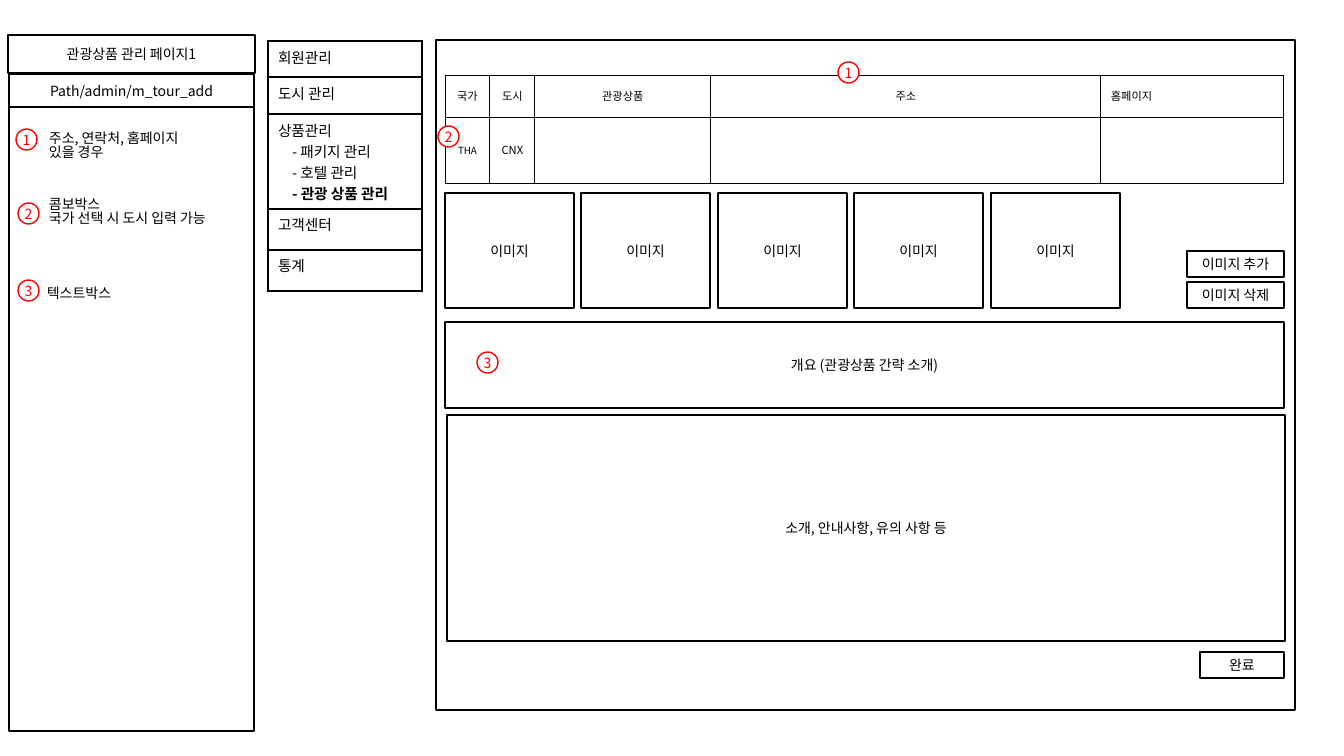
from lxml import etree
from pptx import Presentation
from pptx import util as u
from pptx.dml.color import RGBColor
from pptx.enum import shapes, text
from pptx.oxml import ns

PX = 914400 / 100.8  # EMU in one px
FONT = "Noto Sans CJK KR"
COLORS = {"ink": "000000", "paper": "FFFFFF", "mark": "FF0000"}
CENTER, LEFT, JUSTIFY = text.PP_ALIGN.CENTER, text.PP_ALIGN.LEFT, text.PP_ALIGN.JUSTIFY


def emu(*lengths):
    return [u.Emu(round(length * PX)) for length in lengths]


def color(name):
    return RGBColor.from_string(COLORS[name])


def write(frame, lines, size=10, align=CENTER, ink="ink", spacing=None):
    """Fill a text frame, one paragraph a line."""
    for number, line in enumerate(lines):
        para = frame.add_paragraph() if number else frame.paragraphs[0]
        para.text = line
        para.alignment = align
        if spacing:
            para.line_spacing = spacing
        para.font.size = u.Pt(size)
        para.font.color.rgb = color(ink)
        para.font.name = FONT
        defaults = para._p.pPr.find(ns.qn("a:defRPr"))
        etree.SubElement(defaults, ns.qn("a:ea"), typeface=FONT)


def add_box(page, place, lines=(), line="ink", kind=shapes.MSO_SHAPE.RECTANGLE, **style):
    box = page.shapes.add_shape(kind, *emu(*place))
    box.shadow.inherit = False
    box.fill.solid()
    box.fill.fore_color.rgb = color("paper")
    if line:
        box.line.color.rgb = color(line)
        box.line.width = u.Pt(1)
    else:
        box.line.fill.background()
    box.text_frame.word_wrap = True
    box.text_frame.vertical_anchor = text.MSO_ANCHOR.MIDDLE
    write(box.text_frame, lines, **style)
    return box


def add_marker(page, left, top, number):
    """Red numbered circle."""
    marker = add_box(page, (left, top, 21, 21), [str(number)], line="mark",
                     kind=shapes.MSO_SHAPE.OVAL, ink="mark")
    frame = marker.text_frame
    frame.word_wrap = False
    frame.margin_left = frame.margin_right = frame.margin_top = frame.margin_bottom = 0


def add_grid(page, left, top, columns, rows, border):
    """Unfilled table with the same border on every side of each cell."""
    place = emu(left, top, sum(columns), sum(rows))
    table = page.shapes.add_table(len(rows), len(columns), *place).table
    table.first_row = table.horz_banding = False
    for column, width in zip(table.columns, emu(*columns)):
        column.width = width
    for row, height in zip(table.rows, emu(*rows)):
        row.height = height
    for cell in table.iter_cells():
        props = cell._tc.get_or_add_tcPr()
        for side in ("a:lnL", "a:lnR", "a:lnT", "a:lnB"):
            edge = etree.SubElement(props, ns.qn(side), w=str(u.Pt(border)))
            fill = etree.SubElement(edge, ns.qn("a:solidFill"))
            etree.SubElement(fill, ns.qn("a:srgbClr"), val=COLORS["ink"])
        cell.fill.background()
    return table


def add_tour_table(page):
    table = add_grid(page, 445, 75, [45, 45, 176, 390, 183], [42, 66], 0.75)
    rows = [
        [("국가", 8), ("도시", 8), ("관광상품", 8), ("주소", 8), ("홈페이지", 8)],
        [("THA", 7), ("CNX", 8)],
    ]
    for r, row in enumerate(rows):
        for c, (label, size) in enumerate(row):
            cell = table.cell(r, c)
            cell.vertical_anchor = text.MSO_ANCHOR.MIDDLE
            write(cell.text_frame, [label], size, JUSTIFY if c == 4 else CENTER)


def add_menu(page):
    entries = [
        ["회원관리"],
        ["도시 관리"],
        ["상품관리", "- 패키지 관리", "- 호텔 관리", "- 관광 상품 관리"],
        ["고객센터"],
        ["통계"],
    ]
    table = add_grid(page, 268, 41, [154], [36, 37, 95, 41, 41], 1)
    for r, lines in enumerate(entries):
        frame = table.cell(r, 0).text_frame
        write(frame, lines, 10.5, LEFT)
        for para in frame.paragraphs[1:]:
            para._p.pPr.set("marL", str(emu(14)[0]))
        if len(lines) > 1:
            frame.paragraphs[-1].font.bold = True  # current page


def main():
    deck = Presentation()
    deck.slide_width, deck.slide_height = emu(1344, 756)
    page = deck.slides.add_slide(deck.slide_layouts[6])

    # Description panel
    add_box(page, (9, 107, 245, 624))
    add_box(page, (8, 35, 247, 38), ["관광상품 관리 페이지1"])
    add_box(page, (9, 74, 245, 33), ["Path/admin/m_tour_add"])
    notes = [
        (39, 121, ["주소, 연락처, 홈페이지", "있을 경우"]),
        (39, 187, ["콤보박스", "국가 선택 시 도시 입력 가능"]),
        (37, 269, ["텍스트박스"]),
    ]
    for left, top, lines in notes:
        add_box(page, (left, top, 203, 51), lines, line=None, align=LEFT, spacing=0.8)

    # Admin screen
    add_box(page, (436, 40, 859, 670))
    add_tour_table(page)
    for i in range(5):
        add_box(page, (445 + 273 * i // 2, 193, 129, 115), ["이미지"])
    fields = [
        ((1187, 251, 97, 26), "이미지 추가"),
        ((1187, 282, 97, 26), "이미지 삭제"),
        ((445, 322, 839, 86), "개요 (관광상품 간략 소개)"),
        ((447, 415, 838, 226), "소개, 안내사항, 유의 사항 등"),
        ((1200, 652, 84, 26), "완료"),
    ]
    for place, label in fields:
        add_box(page, place, [label])

    # Numbered markers: notes, then their targets
    for left, top, number in [(16, 129, 1), (18, 203, 2), (18, 280, 3),
                              (838, 62, 1), (438, 126, 2), (477, 352, 3)]:
        add_marker(page, left, top, number)

    # Side menu
    add_menu(page)

    deck.save("out.pptx")


if __name__ == "__main__":
    main()
